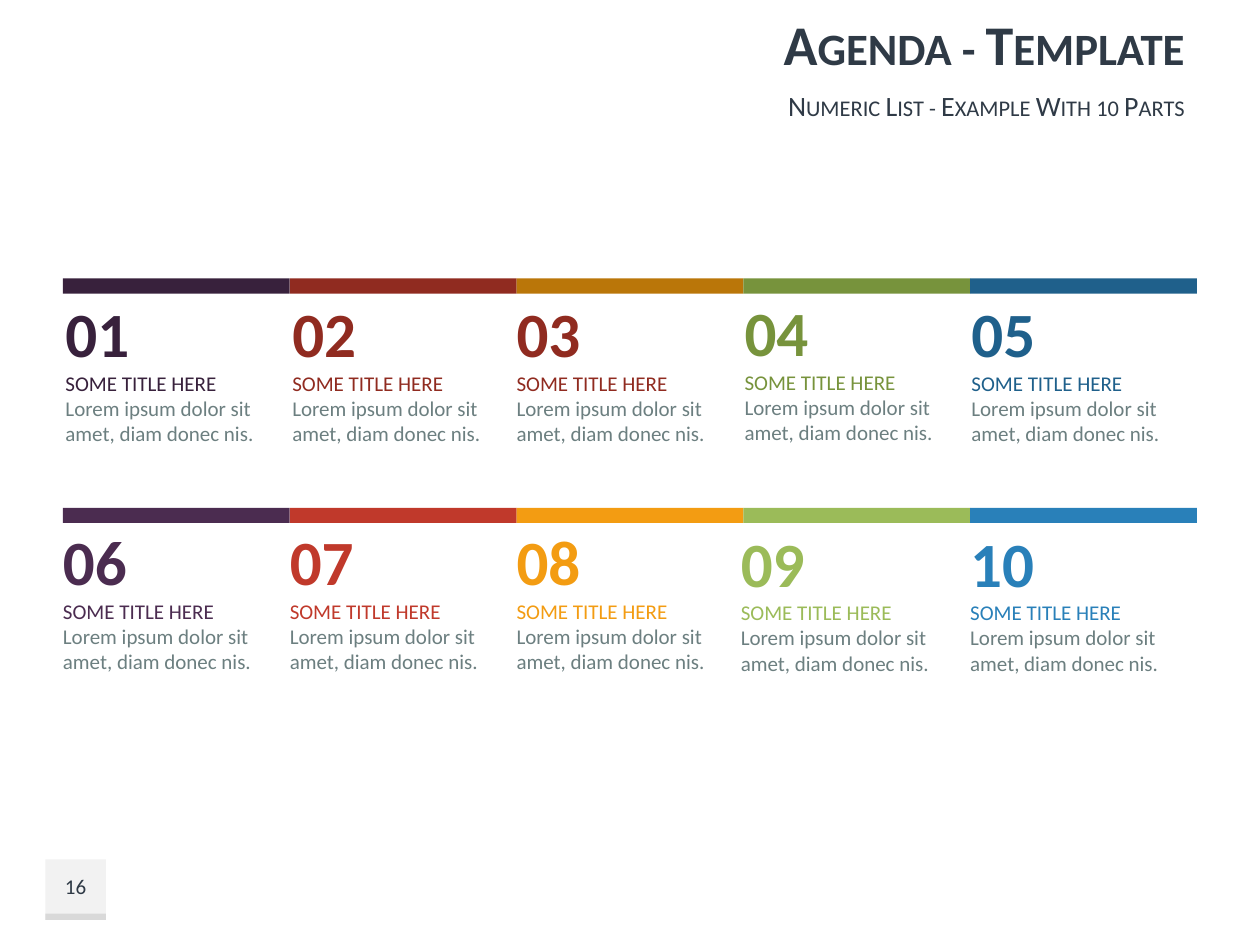
from dataclasses import dataclass
from pptx import Presentation
from pptx.dml.color import RGBColor
from pptx.enum import shapes, text
from pptx import util as u

WIDE, HIGH = 10, 7.5
LEFT, STEP, BAR = 0.5, 1.8, 0.12
ROWS = (2.21, 4.03)
FONT, INK, GREY = "Calibri", "2F3A46", "6C7F80"
ALIGN, ANCHOR = text.PP_ALIGN, text.MSO_ANCHOR


@dataclass
class Part:
    hue: str
    tint: str
    nudge: float = 0
    drop: float = 0


@dataclass
class Line:
    words: str
    size: float
    hue: str = INK
    bold: bool = False
    caps: bool = False


PARTS = [
    Part("38213C", "38213C", 0.02),
    Part("902B20", "902B20", 0.02),
    Part("BA7609", "902B20"),
    Part("77933C", "77933C", 0.01, -0.01),
    Part("1F608B", "1F608B", 0.01),
    Part("4B2C50", "4B2C50"),
    Part("C0392B", "C0392B"),
    Part("F39C12", "F39C12"),
    Part("9BBB59", "9BBB59", -0.02, 0.01),
    Part("2980B9", "2980B9", 0, 0.01),
]


def color(code: str) -> RGBColor:
    return RGBColor.from_string(code)


def block(x: float, y: float, w: float, h: float, hue: str) -> None:
    box = slide.shapes.add_shape(shapes.MSO_SHAPE.RECTANGLE, *map(u.Inches, (x, y, w, h)))
    box.shadow.inherit = False
    box.fill.solid()
    box.fill.fore_color.rgb = color(hue)
    box.line.fill.background()


def write(x: float, y: float, w: float, h: float, lines: list[Line],
          align=ALIGN.LEFT, **frame) -> None:
    body = slide.shapes.add_textbox(*map(u.Inches, (x, y, w, h))).text_frame
    for key, val in {"word_wrap": True, **frame}.items():
        setattr(body, key, val)
    for i, line in enumerate(lines):
        para = body.add_paragraph() if i else body.paragraphs[0]
        para.alignment = align
        run = para.add_run()
        run.text = line.words
        form = {"name": FONT, "size": u.Pt(line.size), "bold": line.bold}
        for key, val in form.items():
            setattr(run.font, key, val)
        run.font.color.rgb = color(line.hue)
        if line.caps:
            run._r.get_or_add_rPr().set("cap", "small")


deck = Presentation()
deck.slide_width, deck.slide_height = u.Inches(WIDE), u.Inches(HIGH)
slide = deck.slides.add_slide(deck.slide_layouts[6])

block(0.36, 6.82, 0.48, 0.48, "F2F2F2")
block(0.36, 7.25, 0.48, 0.05, "D9D9D9")
write(0.36, 6.82, 0.48, 0.43, [Line("16", 12)], ALIGN.CENTER,
      vertical_anchor=ANCHOR.MIDDLE)

for i, part in enumerate(PARTS):
    row, col = divmod(i, 5)
    x, y = LEFT + col * STEP, ROWS[row]
    block(x, y, STEP, BAR, part.hue)
    write(x + part.nudge, y + BAR + 0.01 * (1 - row) + part.drop, STEP, 1.5, [
        Line(f"{i + 1:02}", 36, part.tint, True),
        Line("SOME TITLE HERE", 12, part.tint),
        Line("Lorem ipsum dolor sit amet, diam donec nis.", 12, GREY),
    ], margin_left=0, margin_top=0, margin_bottom=0)

for y, h, line in (
    (0, 0.68, Line("Agenda - Template", 32, bold=True, caps=True)),
    (0.68, 0.31, Line("Numeric List - Example With 10 Parts", 16, caps=True)),
):
    write(3.19, y, 6.31, h, [line], ALIGN.RIGHT, vertical_anchor=ANCHOR.MIDDLE)

deck.save("out.pptx")
